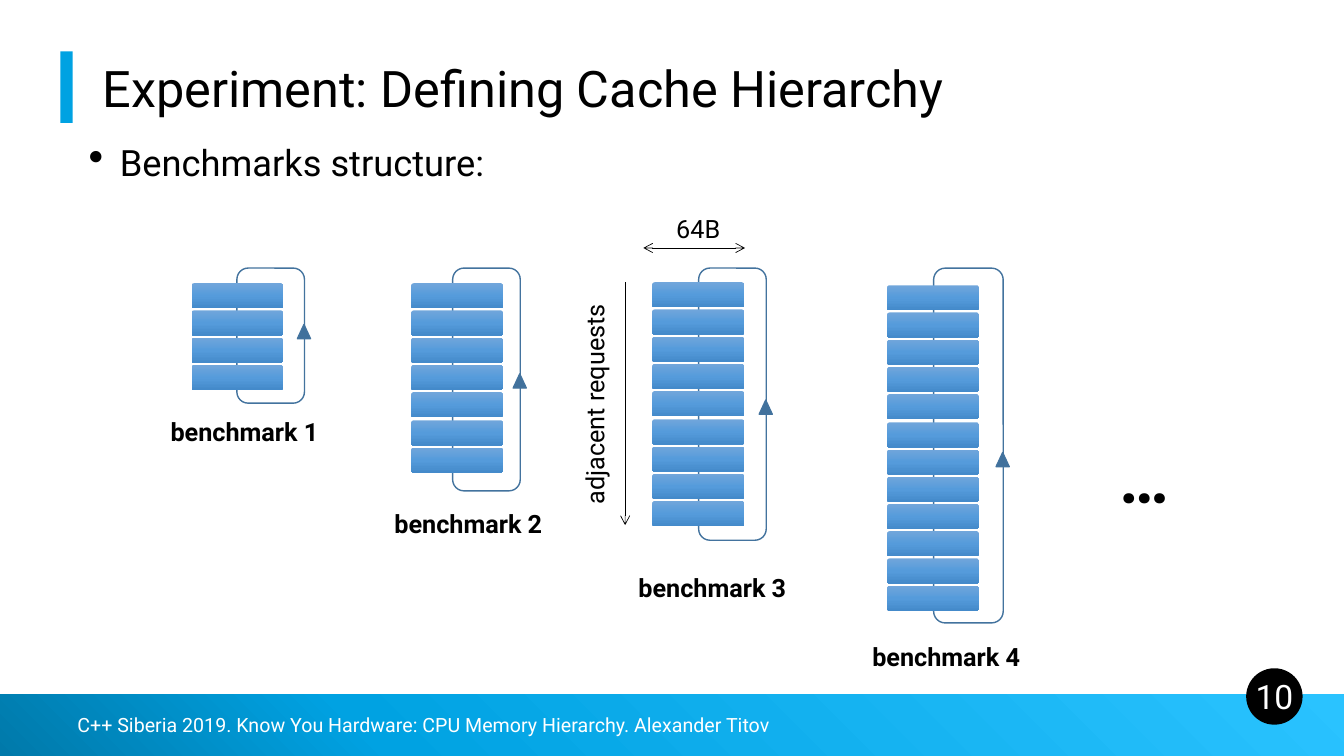
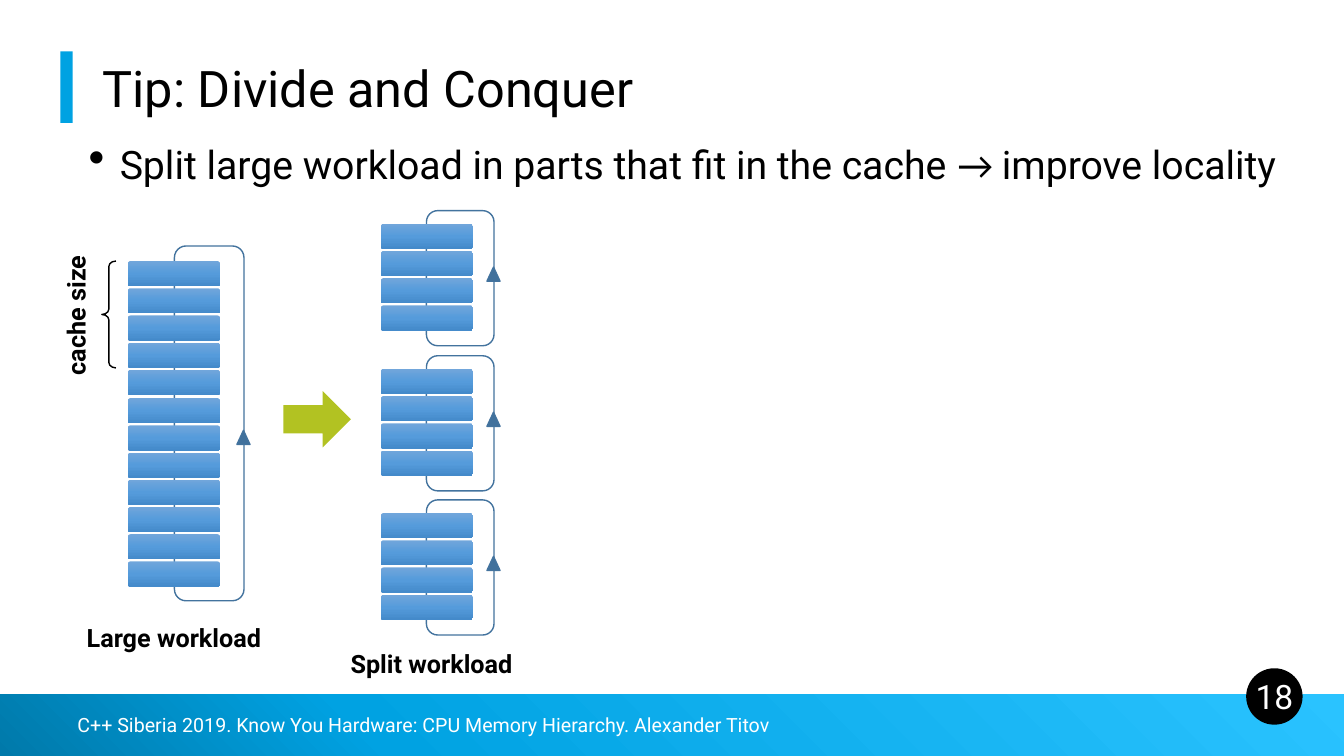
from copy import deepcopy
from dataclasses import dataclass
from typing import Any

import pptx
import pptx.dml.color
import pptx.enum.shapes
import pptx.enum.text
import pptx.oxml.ns
import pptx.oxml.xmlchemy
import pptx.util

RGB = pptx.dml.color.RGBColor
KIND = pptx.enum.shapes.MSO_SHAPE
ALIGN = pptx.enum.text.PP_ALIGN
ANCHOR = pptx.enum.text.MSO_ANCHOR
qn = pptx.oxml.ns.qn
node = pptx.oxml.xmlchemy.OxmlElement

BLACK = RGB(0x00, 0x00, 0x00)
WHITE = RGB(0xFF, 0xFF, 0xFF)
CYAN = RGB(0x00, 0xA2, 0xE2)
GREEN = RGB(0xB2, 0xC2, 0x22)
STEEL = RGB(0x41, 0x71, 0x9C)
EDGE = RGB(0x43, 0x73, 0x9E)
BAND = ((0, RGB(0x00, 0x79, 0xAA)), (0.28, CYAN), (1, RGB(0x2A, 0xC3, 0xFF)))
BLUES = (
    (0, RGB(0x71, 0xA6, 0xDB)),
    (0.5, RGB(0x55, 0x9B, 0xDB)),
    (1, RGB(0x44, 0x8A, 0xCA)),
)

FONT = "Roboto"
SCALE = 9144
WIDE, HIGH = 1333, 750
BAR_WIDE, BAR_HIGH, PITCH = 91, 25, 27.1
FOOTER = "C++ Siberia 2019. Know You Hardware: CPU Memory Hierarchy. Alexander Titov"


@dataclass(frozen=True)
class Box:
    left: int
    top: int
    wide: int
    high: int

    def emu(self) -> tuple[int, ...]:
        return tuple(px(n) for n in (self.left, self.top, self.wide, self.high))


@dataclass(frozen=True)
class Stack:
    left: int
    top: int
    count: int
    loop: Box
    tip: int


@dataclass(frozen=True)
class Label:
    text: str
    box: Box
    bold: bool = True
    size: int = 18
    turn: int = 0


TESTS = (
    Stack(190, 281, 4, Box(235, 266, 67, 134), 322),
    Stack(408, 281, 7, Box(449, 266, 67, 221), 371),
    Stack(647, 280, 9, Box(693, 266, 67, 270), 397),
    Stack(880, 283, 12, Box(926, 266, 69, 352), 449),
)
TEST_TEXT = (
    Label("benchmark 1", Box(158, 408, 169, 40)),
    Label("benchmark 2", Box(380, 499, 169, 40)),
    Label("benchmark 3", Box(622, 563, 169, 40)),
    Label("benchmark 4", Box(854, 631, 169, 40)),
    Label("64B", Box(660, 207, 65, 40), bold=False),
    Label("adjacent requests", Box(476, 381, 227, 40), bold=False, turn=270),
    Label("…", Box(1100, 427, 70, 91), size=48),
)
LARGE = Stack(127, 259, 12, Box(173, 244, 69, 352), 427)
PARTS = tuple(
    Stack(378, top + 13, 4, Box(423, top, 67, 134), top + 56)
    for top in (209, 353, 496)
)
TIP_TEXT = (
    Label("cache size", Box(5, 293, 140, 40), turn=270),
    Label("Large workload", Box(75, 612, 195, 40)),
    Label("Split workload", Box(337, 638, 182, 40)),
)


def px(count: int) -> int:
    return count * SCALE


def shape(
    slide: Any, kind: Any, box: Box, fill: RGB | None = None, edge: RGB | None = None
) -> Any:
    item = slide.shapes.add_shape(kind, *box.emu())
    item.shadow.inherit = False
    if fill is None:
        item.fill.background()
    else:
        item.fill.solid()
        item.fill.fore_color.rgb = fill
    if edge is None:
        item.line.fill.background()
    else:
        item.line.color.rgb = edge
        item.line.width = pptx.util.Pt(1)
    return item


def blend(item: Any, stops: tuple, angle: int) -> None:
    item.fill.gradient()
    item.fill.gradient_angle = angle
    group = next(item.element.iter(qn("a:gsLst")))
    group.append(deepcopy(group[0]))
    for stop, (place, shade) in zip(item.fill.gradient_stops, stops):
        stop.position = place
        stop.color.rgb = shade


def style(run: Any, size: float, color: RGB, bold: bool = False, font: str = FONT) -> None:
    run.font.name = font
    run.font.size = pptx.util.Pt(size)
    run.font.bold = bold
    run.font.color.rgb = color


def write(
    slide: Any,
    text: str,
    box: Box,
    size: float,
    color: RGB = BLACK,
    bold: bool = False,
    align: Any = ALIGN.LEFT,
    anchor: Any = ANCHOR.MIDDLE,
    wrap: bool = True,
    font: str = FONT,
) -> Any:
    item = slide.shapes.add_textbox(*box.emu())
    frame = item.text_frame
    frame.text = text
    frame.word_wrap = wrap
    frame.vertical_anchor = anchor
    line = frame.paragraphs[0]
    line.alignment = align
    style(line.runs[0], size, color, bold, font)
    return item


def tag(slide: Any, label: Label) -> None:
    item = write(
        slide, label.text, label.box, label.size,
        bold=label.bold, align=ALIGN.CENTER, wrap=False,
    )
    item.rotation = label.turn


def point(slide: Any, text: str, box: Box, size: float) -> None:
    item = write(slide, text, box, size, anchor=ANCHOR.TOP)
    line = item.text_frame.paragraphs[0]
    props = line._p.get_or_add_pPr()
    props.set("marL", str(px(31)))
    props.set("indent", str(px(-31)))
    for name, key, value in (("a:buSzPct", "val", "120000"), ("a:buChar", "char", "•")):
        mark = node(name)
        mark.set(key, value)
        props.append(mark)
    line.line_spacing = 0.8


def arrow(slide: Any, start: tuple[int, int], end: tuple[int, int], *ends: str) -> None:
    line = slide.shapes.add_connector(
        pptx.enum.shapes.MSO_CONNECTOR.STRAIGHT, *(px(n) for n in start + end)
    )
    line.line.color.rgb = BLACK
    line.line.width = pptx.util.Pt(0.5)
    edge = line.element.spPr.find(qn("a:ln"))
    for name in ends:
        head = node(name)
        head.set("type", "arrow")
        edge.append(head)
    line.element.spPr.append(node("a:effectLst"))


def pile(slide: Any, stack: Stack) -> None:
    loop = stack.loop
    shape(slide, KIND.ROUNDED_RECTANGLE, loop, WHITE, EDGE)
    tip = Box(loop.left + loop.wide - 7, stack.tip, 13, 14)
    shape(slide, KIND.ISOSCELES_TRIANGLE, tip, STEEL, EDGE)
    for row in range(stack.count):
        box = Box(stack.left, stack.top + round(row * PITCH), BAR_WIDE, BAR_HIGH)
        bar = shape(slide, KIND.ROUNDED_RECTANGLE, box)
        bar.adjustments[0] = 0.09
        blend(bar, BLUES, 270)


def page(deck: Any, title: str, number: int) -> Any:
    slide = deck.slides.add_slide(deck.slide_layouts[6])
    blend(shape(slide, KIND.RECTANGLE, Box(0, 689, WIDE, 61)), BAND, 45)
    shape(slide, KIND.RECTANGLE, Box(60, 51, 12, 71), CYAN)
    shape(slide, KIND.OVAL, Box(1236, 663, 56, 56), BLACK)
    head = write(slide, title, Box(92, 0, 1150, 122), 36, anchor=ANCHOR.BOTTOM)
    head.text_frame.paragraphs[0].line_spacing = 0.9
    write(slide, FOOTER, Box(67, 695, 1100, 48), 14, WHITE)
    write(slide, str(number), Box(1228, 663, 72, 56), 24, WHITE, align=ALIGN.CENTER)
    return slide


def tests(deck: Any) -> None:
    slide = page(deck, "Experiment: Defining Cache Hierarchy", 10)
    point(slide, "Benchmarks structure:", Box(78, 143, 1195, 48), 25.9)
    for stack in TESTS:
        pile(slide, stack)
    arrow(slide, (638, 246), (739, 246), "a:headEnd", "a:tailEnd")
    arrow(slide, (620, 280), (620, 521), "a:tailEnd")
    for label in TEST_TEXT:
        tag(slide, label)


def split(deck: Any) -> None:
    slide = page(deck, "Tip: Divide and Conquer", 18)
    text = "Split large workload in parts that fit in the cache"
    point(slide, text, Box(78, 143, 890, 48), 28)
    gain = write(
        slide, "→ ", Box(940, 134, 340, 57), 28,
        anchor=ANCHOR.TOP, wrap=False, font="Calibri",
    )
    run = gain.text_frame.paragraphs[0].add_run()
    run.text = "improve locality"
    style(run, 28, BLACK)
    for stack in (LARGE, *PARTS):
        pile(slide, stack)
    brace = shape(slide, KIND.LEFT_BRACE, Box(101, 259, 14, 106), edge=BLACK)
    brace.adjustments[0] = 0.38
    shape(slide, KIND.RIGHT_ARROW, Box(281, 388, 67, 56), GREEN)
    for label in TIP_TEXT:
        tag(slide, label)


def main() -> None:
    deck = pptx.Presentation()
    deck.slide_width = px(WIDE)
    deck.slide_height = px(HIGH)
    tests(deck)
    split(deck)
    deck.save("out.pptx")


if __name__ == "__main__":
    main()
